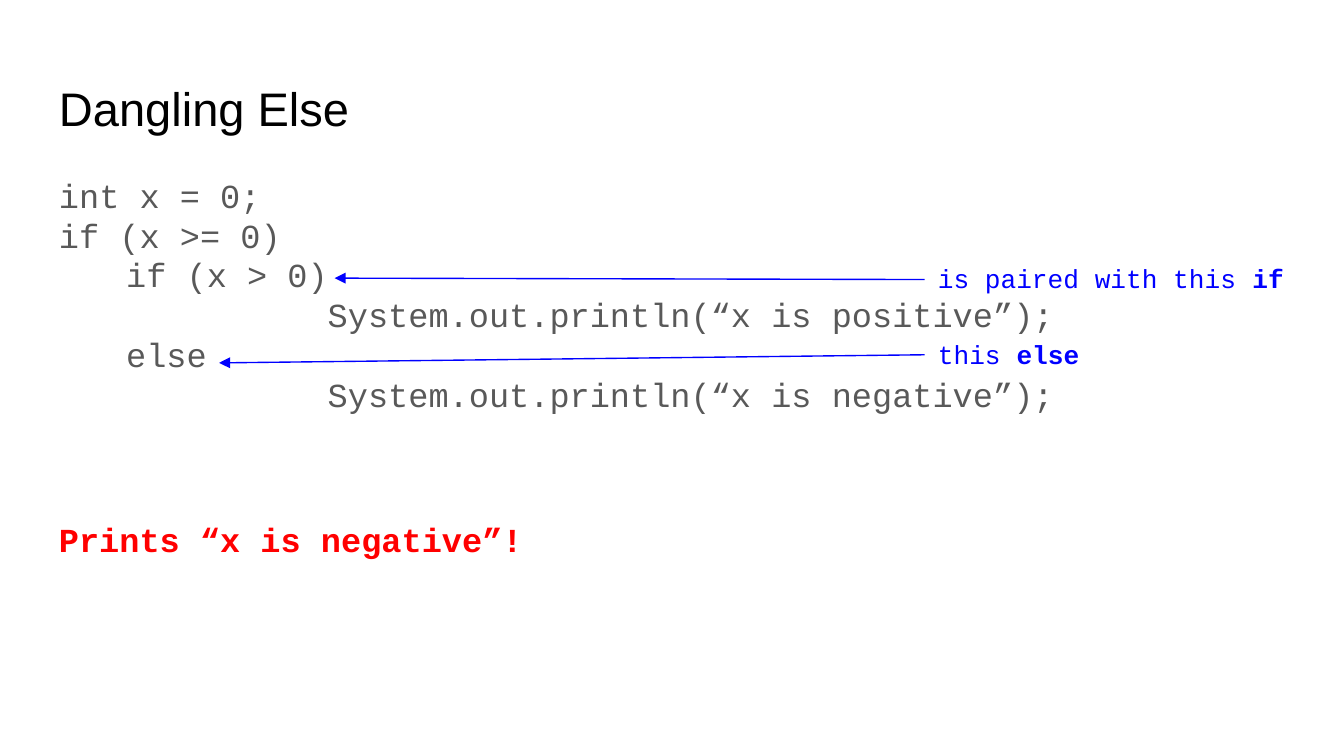
from dataclasses import dataclass

from lxml import etree
from pptx import Presentation
from pptx.dml.color import RGBColor
from pptx.enum.shapes import MSO_CONNECTOR
from pptx.enum.text import MSO_ANCHOR
from pptx.oxml.ns import qn
from pptx.util import Inches, Pt

STRAIGHT = MSO_CONNECTOR.STRAIGHT
TOP, MIDDLE = MSO_ANCHOR.TOP, MSO_ANCHOR.MIDDLE
BLACK = RGBColor(0x00, 0x00, 0x00)
GRAY = RGBColor(0x59, 0x59, 0x59)
RED = RGBColor(0xFF, 0x00, 0x00)
BLUE = RGBColor(0x00, 0x00, 0xFF)
CODE_FONT = "Courier New"
LEFT = 0.34
NOTE_LEFT = 6.88
CODE_SPACING = {"line_spacing": 0.8, "space_before": 4}


@dataclass
class Line:
    text: str
    indent: float = 0
    bold_end: str = ""


@dataclass
class Note:
    line: Line
    top: float
    width: float
    arrow_start_y: float
    arrow_tip: tuple[float, float]


CODE = [
    Line("int x = 0;"),
    Line("if (x >= 0)"),
    Line("if (x > 0)", 0.5),
    Line("System.out.println(“x is positive”);", 2),
    Line("else", 0.5),
    Line("System.out.println(“x is negative”);", 2),
]
NOTES = [
    Note(Line("this ", bold_end="else"), 2.42, 2.11, 2.64, (1.63, 2.7)),
    Note(Line("is paired with this ", bold_end="if"), 1.85, 3.07, 2.08, (2.49, 2.07)),
]


def add_text(slide, lines: list[Line], left: float, top: float, width: float,
             height: float, *, size: float, color: RGBColor, font: str = CODE_FONT,
             bold: bool = False, anchor=TOP, line_spacing: float = 1,
             space_before: float = 0) -> None:
    box = slide.shapes.add_textbox(Inches(left), Inches(top), Inches(width), Inches(height))
    frame = box.text_frame
    frame.word_wrap = True
    frame.vertical_anchor = anchor
    frame.margin_left = frame.margin_right = Inches(0.1)
    frame.margin_top = frame.margin_bottom = Inches(0.1)
    for index, line in enumerate(lines):
        para = frame.add_paragraph() if index else frame.paragraphs[0]
        para.line_spacing = line_spacing
        para.space_before = Pt(space_before)
        if line.indent:
            para._p.get_or_add_pPr().set("marL", str(Inches(line.indent)))
        for text, is_bold in ((line.text, bold), (line.bold_end, True)):
            if text:
                span = para.add_run()
                span.text = text
                span.font.name = font
                span.font.size = Pt(size)
                span.font.bold = is_bold
                span.font.color.rgb = color


def add_note(slide, note: Note) -> None:
    tip_x, tip_y = note.arrow_tip
    arrow = slide.shapes.add_connector(
        STRAIGHT, Inches(tip_x), Inches(tip_y), Inches(NOTE_LEFT), Inches(note.arrow_start_y))
    arrow.line.color.rgb = BLUE
    arrow.line.width = Pt(0.75)
    # Arrowhead at the code end, and no shadow
    etree.SubElement(arrow.line._get_or_add_ln(), qn("a:headEnd"), type="triangle")
    etree.SubElement(arrow._element.spPr, qn("a:effectLst"))
    add_text(slide, [note.line], NOTE_LEFT, note.top, note.width, 0.44, size=14, color=BLUE)


# Widescreen page, 16 to 9
deck = Presentation()
deck.slide_width = Inches(10)
deck.slide_height = deck.slide_width * 9 // 16
page = deck.slides.add_slide(deck.slide_layouts[6])

# Title, code and result
add_text(page, [Line("Dangling Else")], LEFT, 0.49, 9.32, 0.63,
         size=25.2, color=BLACK, font="Arial", anchor=MIDDLE)
add_text(page, CODE, LEFT, 1.26, 9.32, 3.74, size=18, color=GRAY, **CODE_SPACING)
add_text(page, [Line("Prints “x is negative”!")], LEFT, 3.82, 5.63, 0.44,
         size=18, color=RED, bold=True, **CODE_SPACING)

# Notes with arrows to the code
for pairing in NOTES:
    add_note(page, pairing)

deck.save("out.pptx")
